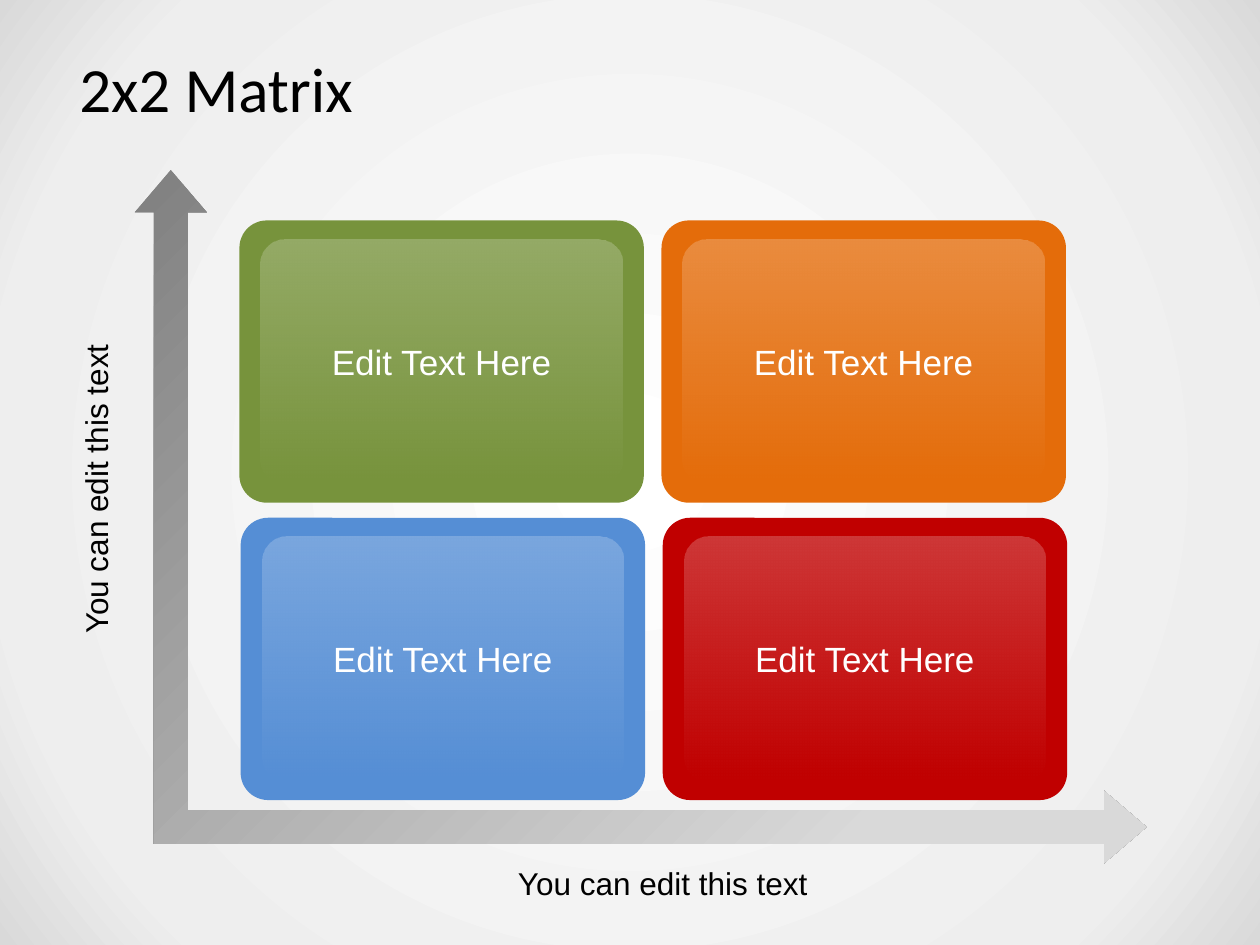
from lxml import etree
from pptx import Presentation
from pptx.dml.color import RGBColor
from pptx.enum.shapes import MSO_SHAPE
from pptx.enum.text import MSO_ANCHOR, MSO_AUTO_SIZE, PP_ALIGN
from pptx.oxml.ns import qn
from pptx.util import Inches, Pt

ROUNDED = MSO_SHAPE.ROUNDED_RECTANGLE
CORNER_ARROW = MSO_SHAPE.LEFT_UP_ARROW
MIDDLE, TOP = MSO_ANCHOR.MIDDLE, MSO_ANCHOR.TOP
LEFT, CENTER = PP_ALIGN.LEFT, PP_ALIGN.CENTER
FIT_SHAPE, NO_FIT = MSO_AUTO_SIZE.SHAPE_TO_FIT_TEXT, MSO_AUTO_SIZE.NONE

COLORS = {
    "black": "000000", "white": "FFFFFF", "mist": "EEEEEE",
    "silver": "D9D9D9", "gray": "808080", "green": "77933C",
    "orange": "E46C0A", "blue": "558ED5", "red": "C00000",
}


class MatrixSlide:
    """Draws the elements of a 2x2 matrix slide in one style."""

    def __init__(self, slide):
        self.slide = slide

    def gradient(self, fill, element, stops, angle=None, focus=None):
        fill.solid()
        fill.fore_color.rgb = RGBColor.from_string(COLORS["white"])
        solid = element.find(".//" + qn("a:solidFill"))
        gradient = etree.Element(qn("a:gradFill"), rotWithShape="1")
        stop_list = etree.SubElement(gradient, qn("a:gsLst"))
        for position, color, opacity in stops:
            stop = etree.SubElement(stop_list, qn("a:gs"), pos=str(position * 1000))
            value = etree.SubElement(stop, qn("a:srgbClr"), val=COLORS[color])
            if opacity < 100:
                etree.SubElement(value, qn("a:alpha"), val=str(opacity * 1000))
        if focus:
            circle = etree.SubElement(gradient, qn("a:path"), path="circle")
            edges = {side: str(part * 1000) for side, part in zip("ltrb", focus)}
            etree.SubElement(circle, qn("a:fillToRect"), **edges)
        else:
            etree.SubElement(gradient, qn("a:lin"), ang=str(angle * 60000), scaled="0")
        solid.getparent().replace(solid, gradient)

    def background(self, stops, focus):
        self.gradient(self.slide.background.fill, self.slide.element, stops, focus=focus)

    def add_words(self, frame, text, size, color, align, font="Arial"):
        paragraph = frame.paragraphs[0]
        paragraph.alignment = align
        run = paragraph.add_run()
        run.text = text
        run.font.size = Pt(size)
        run.font.name = font
        run.font.color.rgb = RGBColor.from_string(COLORS[color])

    def text(self, box, text, size=18, align=LEFT, font="Arial", wrap=False,
             anchor=TOP, insets=(0.1, 0.05), fit=FIT_SHAPE, direction="horz"):
        text_box = self.slide.shapes.add_textbox(*map(Inches, box))
        frame = text_box.text_frame
        frame.word_wrap = wrap
        frame.auto_size = fit
        frame.vertical_anchor = anchor
        frame.margin_left = frame.margin_right = Inches(insets[0])
        frame.margin_top = frame.margin_bottom = Inches(insets[1])
        text_box.element.find(".//" + qn("a:bodyPr")).set("vert", direction)
        self.add_words(frame, text, size, "black", align, font)

    def shape(self, kind, box, adjustments, color=None, parent=None):
        shape = (parent or self.slide).shapes.add_shape(kind, *map(Inches, box))
        shape.shadow.inherit = False
        shape.line.fill.background()
        for index, value in enumerate(adjustments):
            shape.adjustments[index] = value
        if color:
            shape.fill.solid()
            shape.fill.fore_color.rgb = RGBColor.from_string(COLORS[color])
        return shape

    def axes(self, box):
        arrow = self.shape(CORNER_ARROW, box, (0.049, 0.052, 0.061))
        arrow.element.spPr.find(qn("a:xfrm")).set("flipH", "1")
        self.gradient(arrow.fill, arrow.element.spPr,
                      [(18, "silver", 100), (100, "gray", 100)], focus=(100, 100, 0, 0))

    def quadrant(self, left, top, color, text):
        group = self.slide.shapes.add_group_shape()
        self.shape(ROUNDED, (left, top, 3.21, 2.24), [0.097], color, group)
        gloss = self.shape(ROUNDED, (left + 0.17, top + 0.15, 2.87, 1.94), [0.097], parent=group)
        self.gradient(gloss.fill, gloss.element.spPr,
                      [(0, "white", 0), (100, "white", 22)], angle=270)
        gloss.text_frame.vertical_anchor = MIDDLE
        self.add_words(gloss.text_frame, text, 20, "white", CENTER)


presentation = Presentation()
presentation.slide_width, presentation.slide_height = Inches(10), Inches(7.5)
matrix = MatrixSlide(presentation.slides.add_slide(presentation.slide_layouts[6]))

matrix.background([(0, "white", 100), (81, "mist", 100), (100, "silver", 100)], (50, 50, 50, 50))
matrix.text((0.5, 0.3, 9, 0.78), "2x2 Matrix", 36, font="Calibri", wrap=True,
            anchor=MIDDLE, insets=(0.13, 0.07), fit=NO_FIT)
AXIS_LABEL = "You can edit this text"
matrix.text((0.56, 2.71, 0.5, 2.42), AXIS_LABEL, direction="vert270")
matrix.axes((1.07, 1.35, 8.03, 5.5))
matrix.text((4, 6.81, 2.52, 0.4), AXIS_LABEL, align=CENTER)

ROWS = [(1.9, 1.75, ("green", "orange")), (1.91, 4.11, ("blue", "red"))]
for row_left, row_top, row_colors in ROWS:
    for column, row_color in enumerate(row_colors):
        matrix.quadrant(row_left + column * 3.35, row_top, row_color, "Edit Text Here")

presentation.save("out.pptx")
